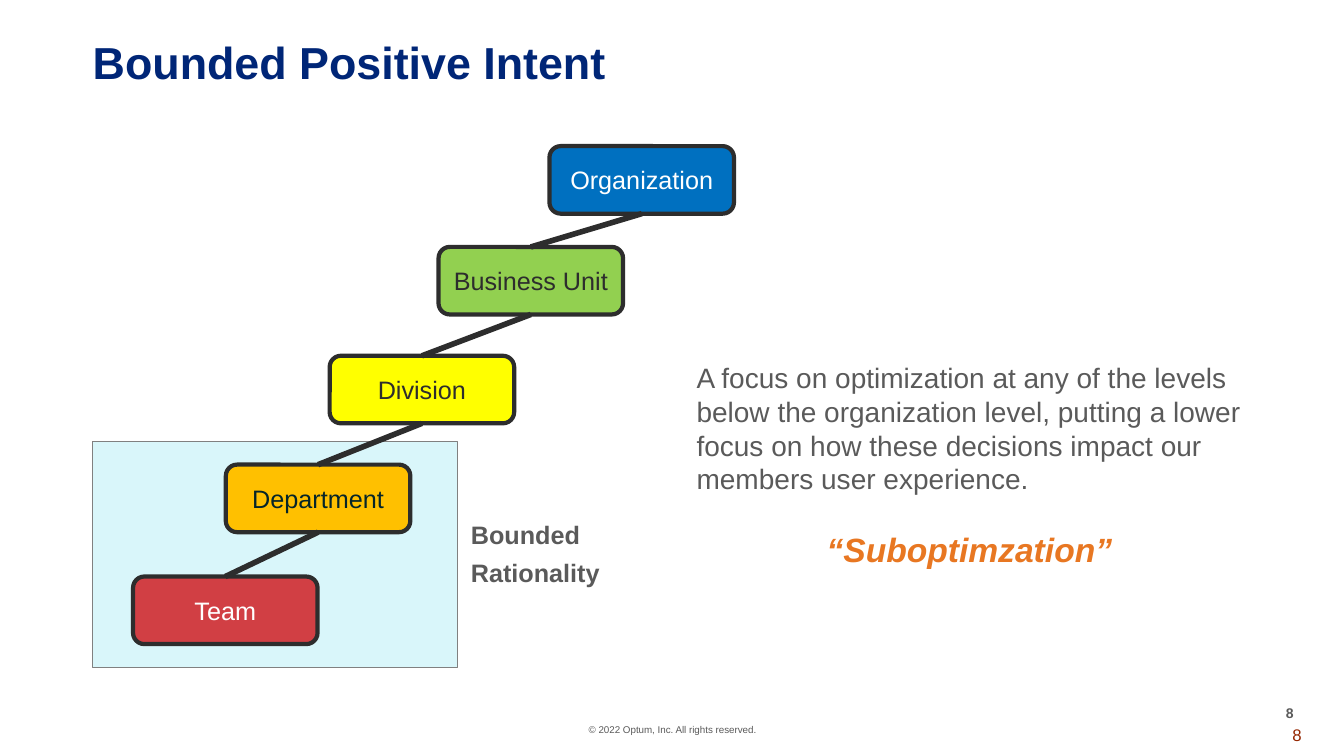
from dataclasses import dataclass
from itertools import pairwise

from lxml.etree import SubElement
from pptx import Presentation
from pptx.dml.color import RGBColor
from pptx.enum.shapes import MSO_CONNECTOR, MSO_SHAPE
from pptx.enum.text import MSO_ANCHOR, PP_ALIGN
from pptx.oxml.ns import qn
from pptx.util import Inches, Pt

NAVY = RGBColor(0x00, 0x26, 0x77)
GREY = RGBColor(0x5A, 0x5A, 0x5A)
MID_GREY = RGBColor(0x80, 0x80, 0x80)
CHARCOAL = RGBColor(0x2D, 0x2D, 0x2D)
WHITE = RGBColor(0xFF, 0xFF, 0xFF)
ORANGE = RGBColor(0xE8, 0x77, 0x22)
RUST = RGBColor(0x95, 0x26, 0x00)
PALE_CYAN = RGBColor(0xD9, 0xF6, 0xFA)
BLUE = RGBColor(0x00, 0x70, 0xC0)
GREEN = RGBColor(0x92, 0xD0, 0x50)
YELLOW = RGBColor(0xFF, 0xFF, 0x00)
AMBER = RGBColor(0xFF, 0xC0, 0x00)
DARK_TEAL = RGBColor(0x05, 0x25, 0x29)
RED = RGBColor(0xD1, 0x3F, 0x44)

BOX_W, BOX_H = 1.83, 0.67


@dataclass
class Para:
    text: str
    size: float
    color: RGBColor
    bold: bool = False
    italic: bool = False
    align: PP_ALIGN = PP_ALIGN.LEFT
    before: float = 0
    spacing: float = 1.0


@dataclass
class TextBox:
    at: tuple[float, float, float, float]
    paras: list[Para]
    inset: tuple[float, float] = (0, 0)
    wrap: bool = True
    anchor: MSO_ANCHOR = MSO_ANCHOR.TOP


@dataclass
class Level:
    name: str
    left: float
    top: float
    fill: RGBColor
    color: RGBColor


LEVELS = [
    Level("Organization", 5.45, 1.45, BLUE, WHITE),
    Level("Business Unit", 4.35, 2.45, GREEN, CHARCOAL),
    Level("Division", 3.27, 3.53, YELLOW, CHARCOAL),
    Level("Department", 2.24, 4.61, AMBER, DARK_TEAL),
    Level("Team", 1.32, 5.72, RED, WHITE),
]

TEXTS = [
    TextBox((0.92, 0.4, 11.5, 0.48),
            [Para("Bounded Positive Intent", 32, NAVY, bold=True, spacing=0.9)]),
    TextBox((4.67, 5.15, 1.29, 0.69),
            [Para("Bounded", 18, GREY, bold=True),
             Para("Rationality", 18, GREY, bold=True, before=6)], wrap=False),
    TextBox((6.81, 3.53, 5.61, 2.19),
            [Para("A focus on optimization at any of the levels below the "
                  "organization level, putting a lower focus on how these "
                  "decisions impact our members user experience.", 20, GREY),
             Para("“Suboptimzation”", 24, ORANGE, bold=True, italic=True,
                  align=PP_ALIGN.CENTER, before=24)], inset=(0.1, 0.05)),
    TextBox((5.14, 7.18, 3.06, 0.12),
            [Para("© 2022 Optum, Inc. All rights reserved.", 7, GREY,
                  align=PP_ALIGN.CENTER)]),
    TextBox((12.66, 6.99, 0.17, 0.17),
            [Para("8", 10, GREY, bold=True, align=PP_ALIGN.RIGHT)], wrap=False),
    TextBox((12.32, 7.09, 0.59, 0.4),
            [Para("8", 12, RUST, align=PP_ALIGN.RIGHT)], anchor=MSO_ANCHOR.MIDDLE),
]


def write_para(p, para: Para) -> None:
    p.alignment = para.align
    p.line_spacing = para.spacing
    if para.before:
        p.space_before = Pt(para.before)
    r = p.add_run()
    r.text = para.text
    font = {"name": "Arial", "size": Pt(para.size),
            "bold": para.bold, "italic": para.italic}
    for name, value in font.items():
        setattr(r.font, name, value)
    r.font.color.rgb = para.color


def add_text(s, box: TextBox) -> None:
    tf = s.shapes.add_textbox(*map(Inches, box.at)).text_frame
    side, end = map(Inches, box.inset)
    frame = {"margin_left": side, "margin_right": side, "margin_top": end,
             "margin_bottom": end, "word_wrap": box.wrap,
             "vertical_anchor": box.anchor}
    for name, value in frame.items():
        setattr(tf, name, value)
    for i, para in enumerate(box.paras):
        write_para(tf.add_paragraph() if i else tf.paragraphs[0], para)


def add_box(s, kind: MSO_SHAPE, at: tuple[float, float, float, float],
            fill: RGBColor, line: RGBColor, width: float):
    sp = s.shapes.add_shape(kind, *map(Inches, at))
    sp.shadow.inherit = False
    sp.fill.solid()
    sp.fill.fore_color.rgb = fill
    sp.line.color.rgb = line
    sp.line.width = Pt(width)
    return sp


def add_level(s, level: Level) -> None:
    sp = add_box(s, MSO_SHAPE.ROUNDED_RECTANGLE,
                 (level.left, level.top, BOX_W, BOX_H), level.fill, CHARCOAL, 3)
    sp.text_frame.vertical_anchor = MSO_ANCHOR.MIDDLE
    write_para(sp.text_frame.paragraphs[0],
               Para(level.name, 18, level.color, align=PP_ALIGN.CENTER))


def add_link(s, upper: Level, lower: Level) -> None:
    ends = (upper.left + BOX_W / 2, upper.top + BOX_H,
            lower.left + BOX_W / 2, lower.top)
    link = s.shapes.add_connector(MSO_CONNECTOR.STRAIGHT, *map(Inches, ends))
    link.line.color.rgb = CHARCOAL
    link.line.width = Pt(4)
    SubElement(link._element.spPr, qn("a:effectLst"))


def main() -> None:
    prs = Presentation()
    prs.slide_width, prs.slide_height = Inches(13.33), Inches(7.5)
    s = prs.slides.add_slide(prs.slide_layouts[6])

    # Bounded rationality area
    add_box(s, MSO_SHAPE.RECTANGLE, (0.92, 4.38, 3.62, 2.24),
            PALE_CYAN, MID_GREY, 1)

    # Staircase of levels and the links between them
    for level in LEVELS:
        add_level(s, level)
    for upper, lower in pairwise(LEVELS):
        add_link(s, upper, lower)

    # Title, captions and footer
    for box in TEXTS:
        add_text(s, box)

    prs.save("out.pptx")


if __name__ == "__main__":
    main()
